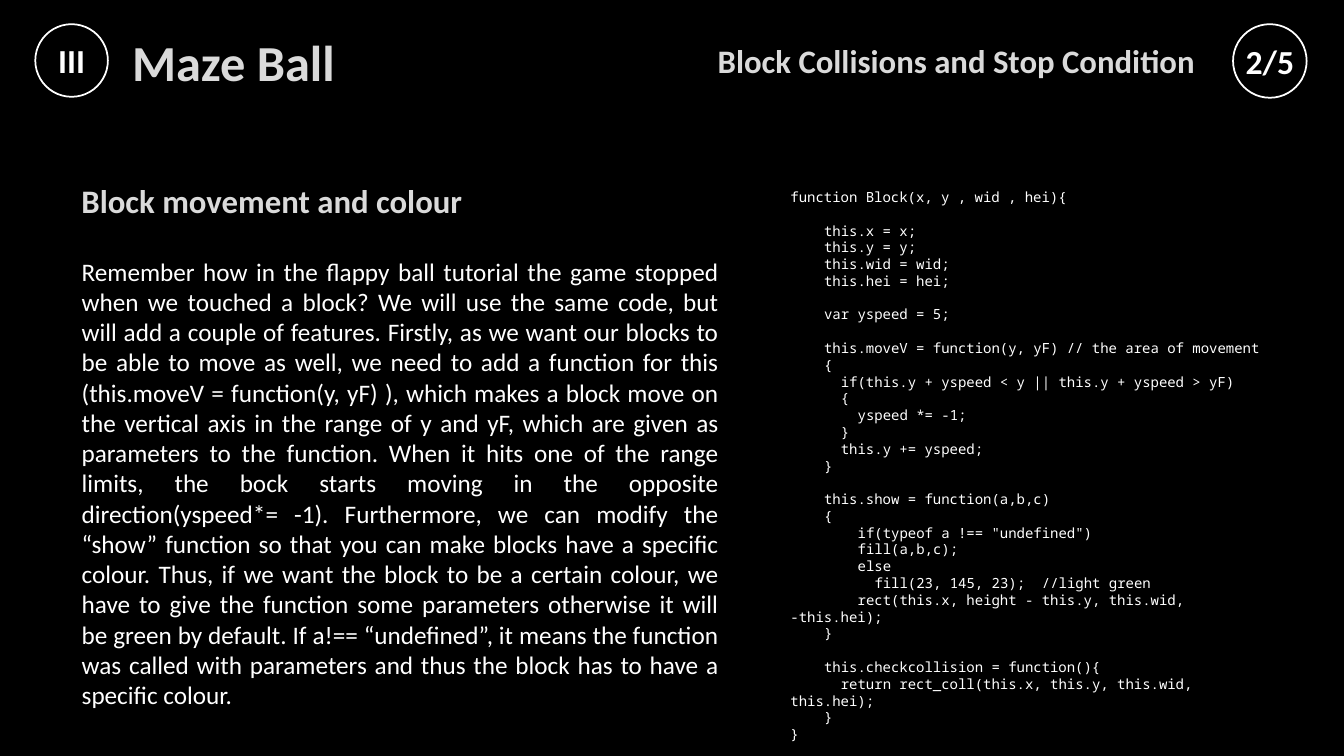
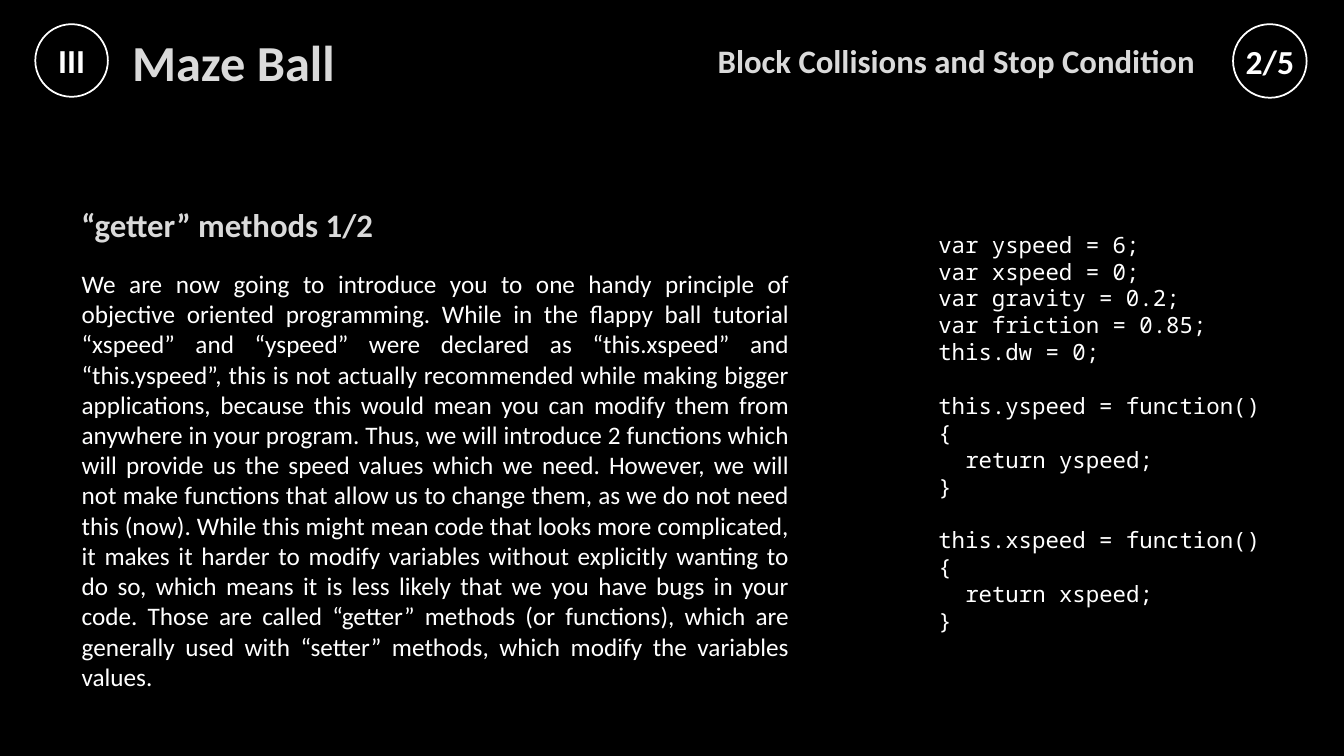
"""Builds two Maze Ball tutorial slides on block collisions."""
from lxml.etree import SubElement
from pptx import Presentation
from pptx.dml.color import RGBColor
from pptx.enum.shapes import MSO_SHAPE
from pptx.enum.text import MSO_ANCHOR, MSO_AUTO_SIZE, PP_ALIGN
from pptx.oxml.ns import qn
from pptx.util import Inches, Pt

COLORS = {"background": "000000", "text": "FFFFFF", "heading": "DADADA"}
TEXT_FONT = "Calibri"
CODE_FONT = "Noto Sans Mono"
LINE_HEIGHT = 1.2
CODE_CHAR_WIDTH = 0.6

BADGES = [("III", 0.35, 0.72), ("2/5", 12.23, 0.73)]

PAGES = [
    {
        "heading": "Block movement and colour",
        "heading_top": 1.55,
        "sentences": [
            "Remember how in the flappy ball tutorial the game stopped when we touched a block?",
            "We will use the same code, but will add a couple of features.",
            "Firstly, as we want our blocks to be able to move as well, we need to add a function for "
            "this (this.moveV = function(y, yF) ), which makes a block move on the vertical axis in the "
            "range of y and yF, which are given as parameters to the function.",
            "When it hits one of the range limits, the bock starts moving in the opposite "
            "direction(yspeed*= -1).",
            "Furthermore, we can modify the “show” function so that you can make blocks have a "
            "specific colour.",
            "Thus, if we want the block to be a certain colour, we have to give the function some "
            "parameters otherwise it will be green by default.",
            "If a!== “undefined”, it means the function was called with parameters and thus the block "
            "has to have a specific colour.",
        ],
        "body_box": (0.71, 2.49, 6.52, 4.64),
        "code_box": (7.74, 1.82, 4.97, 5.32),
        "code_size": 10,
        "code": [
            "function Block(x, y , wid , hei){",
            "",
            "    this.x = x;",
            "    this.y = y;",
            "    this.wid = wid;",
            "    this.hei = hei;",
            "",
            "    var yspeed = 5;",
            "",
            "    this.moveV = function(y, yF) // the area of movement",
            "    {",
            "      if(this.y + yspeed < y || this.y + yspeed > yF)",
            "      {",
            "        yspeed *= -1;",
            "      }",
            "      this.y += yspeed;",
            "    }",
            "",
            "    this.show = function(a,b,c)",
            "    {",
            '        if(typeof a !== "undefined")',
            "        fill(a,b,c);",
            "        else",
            "          fill(23, 145, 23);  //light green",
            "        rect(this.x, height - this.y, this.wid, -this.hei);",
            "    }",
            "",
            "    this.checkcollision = function(){",
            "      return rect_coll(this.x, this.y, this.wid, this.hei);",
            "    }",
            "}",
        ],
    },
    {
        "heading": "“getter” methods 1/2",
        "heading_top": 1.79,
        "sentences": [
            "We are now going to introduce you to one handy principle of objective oriented programming.",
            "While in the flappy ball tutorial “xspeed” and “yspeed” were declared as “this.xspeed” and "
            "“this.yspeed”, this is not actually recommended while making bigger applications, because "
            "this would mean you can modify them from anywhere in your program.",
            "Thus, we will introduce 2 functions which will provide us the speed values which we need.",
            "However, we will not make functions that allow us to change them, as we do not need this "
            "(now).",
            "While this might mean code that looks more complicated, it makes it harder to modify "
            "variables without explicitly wanting to do so, which means it is less likely that we you "
            "have bugs in your code.",
            "Those are called “getter” methods (or functions), which are generally used with “setter” "
            "methods, which modify the variables values.",
        ],
        "body_box": (0.71, 2.61, 7.22, 4.04),
        "code_box": (8.94, 2.24, 4.1, 4.14),
        "code_size": 16,
        "code": [
            "  var yspeed = 6;",
            "  var xspeed = 0;",
            "  var gravity = 0.2;",
            "  var friction = 0.85;",
            "  this.dw = 0;",
            "",
            "  this.yspeed = function()",
            "  {",
            "    return yspeed;",
            "  }",
            "",
            "  this.xspeed = function()",
            "  {",
            "    return xspeed;",
            "  }",
        ],
    },
]


def style(paragraph, size, color="text", font=TEXT_FONT, bold=False, align=PP_ALIGN.LEFT):
    paragraph.font.name = font
    paragraph.font.size = Pt(size)
    paragraph.font.bold = bold
    paragraph.font.color.rgb = RGBColor.from_string(COLORS[color])
    paragraph.alignment = align


def place(shape, box, anchor):
    shape.left, shape.top, shape.width, shape.height = [Inches(length) for length in box]
    frame = shape.text_frame
    frame.word_wrap = True
    frame.auto_size = MSO_AUTO_SIZE.NONE
    frame.vertical_anchor = anchor
    return frame


prs = Presentation()
prs.slide_width = Inches(13.33)
prs.slide_height = Inches(7.5)
backdrop = prs.slide_master.background.fill
backdrop.solid()
backdrop.fore_color.rgb = RGBColor.from_string(COLORS["background"])

for page in PAGES:
    slide = prs.slides.add_slide(prs.slide_layouts.get_by_name("Two Content"))
    title, body, code = slide.placeholders

    title_frame = place(title, (1.21, 0.34, 10.32, 0.53), MSO_ANCHOR.MIDDLE)
    title_frame.text = "Maze Ball"
    style(title_frame.paragraphs[0], 36, "heading", bold=True)

    body_frame = place(body, page["body_box"], MSO_ANCHOR.TOP)
    body_frame.text = " ".join(page["sentences"])
    body_text = body_frame.paragraphs[0]
    style(body_text, 18, align=PP_ALIGN.JUSTIFY)
    body_text.line_spacing = Pt(18 * LINE_HEIGHT)
    body_text.space_before = Pt(0)
    body_text._p.get_or_add_pPr().set("indent", "0")

    code_frame = place(code, page["code_box"], MSO_ANCHOR.TOP)
    code_frame.text = "\n".join(line.strip() for line in page["code"] if line)
    size = page["code_size"]
    code_lines = iter(code_frame.paragraphs)
    gap = 0
    for line in page["code"]:
        if not line:
            gap = size * LINE_HEIGHT
            continue
        code_line = next(code_lines)
        style(code_line, size, font=CODE_FONT)
        code_line.line_spacing = Pt(size * LINE_HEIGHT)
        code_line.space_before = Pt(gap)
        depth = len(line) - len(line.lstrip())
        code_line._p.get_or_add_pPr().set("indent", str(Pt(depth * size * CODE_CHAR_WIDTH)))
        gap = 0

    for paragraph in (body_text, *code_frame.paragraphs):
        properties = paragraph._p.get_or_add_pPr()
        properties.set("marL", "0")
        SubElement(properties, qn("a:buNone"))

    for text, box, align in [
        (page["heading"], (0.71, page["heading_top"], 6.52, 0.88), PP_ALIGN.LEFT),
        ("Block Collisions and Stop Condition", (6.46, 0.16, 5.49, 0.88), PP_ALIGN.RIGHT),
    ]:
        heading_frame = place(slide.shapes.add_textbox(0, 0, 0, 0), box, MSO_ANCHOR.MIDDLE)
        heading_frame.text = text
        style(heading_frame.paragraphs[0], 23.4, "heading", bold=True, align=align)

    for label, left, diameter in BADGES:
        badge = slide.shapes.add_shape(MSO_SHAPE.OVAL, 0, 0, 0, 0)
        badge.shadow.inherit = False
        badge.fill.background()
        badge.line.color.rgb = RGBColor.from_string(COLORS["text"])
        badge.line.width = Pt(1.25)
        badge_frame = place(badge, (left, 0.24, diameter, diameter), MSO_ANCHOR.MIDDLE)
        badge_frame.margin_left = badge_frame.margin_right = 0
        badge_frame.margin_top = badge_frame.margin_bottom = 0
        badge_frame.text = label
        style(badge_frame.paragraphs[0], 24, bold=True, align=PP_ALIGN.CENTER)

prs.save("out.pptx")
